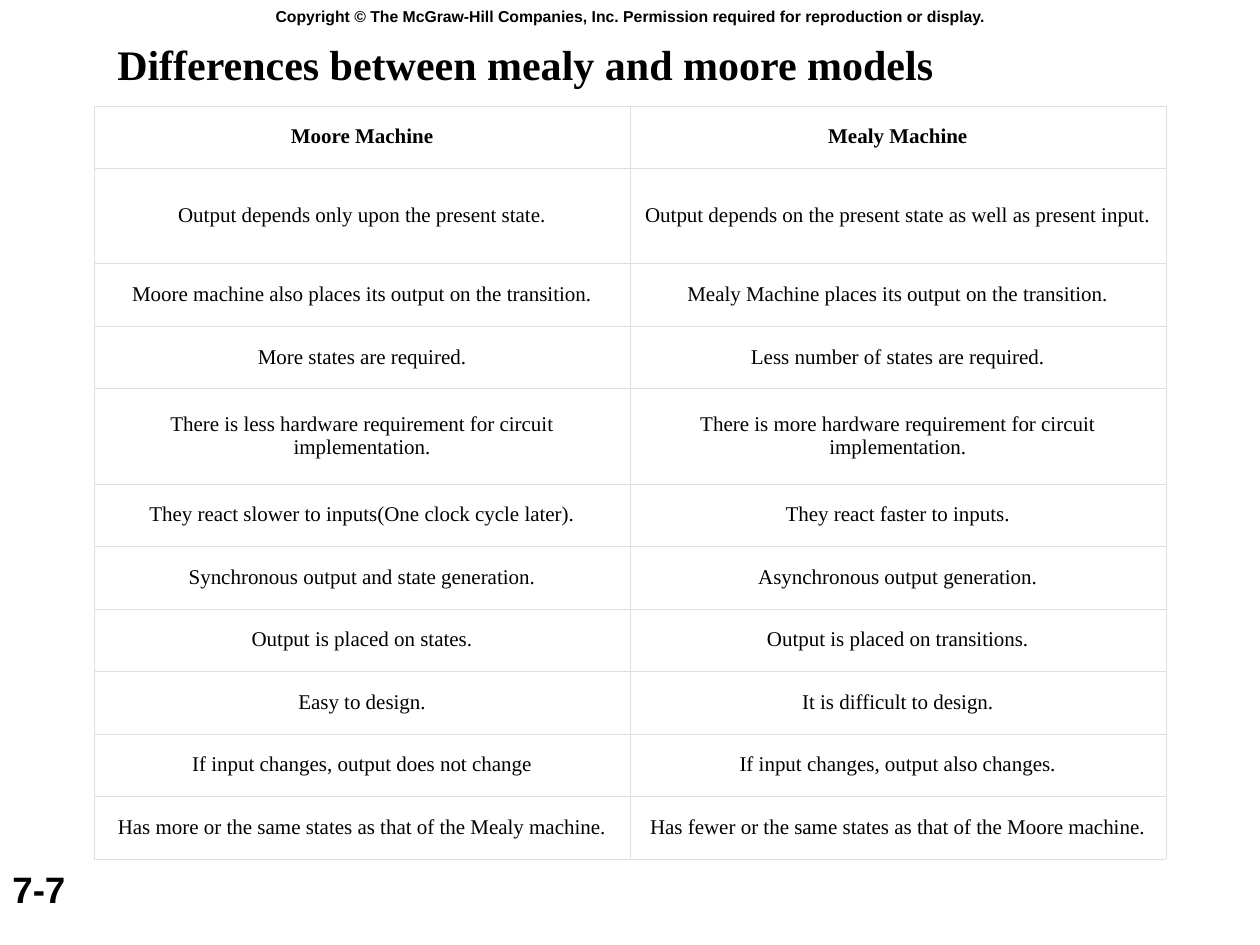
from lxml import etree
from pptx import Presentation
from pptx.dml.color import RGBColor
from pptx.enum.text import MSO_ANCHOR, PP_ALIGN
from pptx.oxml.ns import qn
from pptx.util import Cm, Pt

LEFT, CENTER = PP_ALIGN.LEFT, PP_ALIGN.CENTER
MIDDLE = MSO_ANCHOR.MIDDLE
TITLE_ONLY = 5
SERIF, SANS = "Times New Roman", "Arial"
BLACK, WHITE, GRID = "000000", "FFFFFF", "DFDFDF"
ROW_HEIGHT, TALL_HEIGHT = 1.26, 1.92
TALL_ROWS = (1, 4)

COMPARISON = [
    ("Moore Machine", "Mealy Machine"),
    ("Output depends only upon the present state.",
     "Output depends on the present state as well as present input."),
    ("Moore machine also places its output on the transition.",
     "Mealy Machine places its output on the transition."),
    ("More states are required.", "Less number of states are required."),
    ("There is less hardware requirement for circuit implementation.",
     "There is more hardware requirement for circuit implementation."),
    ("They react slower to inputs(One clock cycle later).",
     "They react faster to inputs."),
    ("Synchronous output and state generation.",
     "Asynchronous output generation."),
    ("Output is placed on states.", "Output is placed on transitions."),
    ("Easy to design.", "It is difficult to design."),
    ("If input changes, output does not change",
     "If input changes, output also changes."),
    ("Has more or the same states as that of the Mealy machine.",
     "Has fewer or the same states as that of the Moore machine."),
]


def rgb(value):
    """Return the colour for a hex string."""
    return RGBColor.from_string(value)


def write(tf, text, size=12, font=SERIF, color=BLACK, bold=False, align=LEFT,
          spacing=None):
    """Put one formatted paragraph into a text frame."""
    tf.word_wrap = True
    p = tf.paragraphs[0]
    p.alignment = align
    p.line_spacing = spacing
    r = p.add_run()
    r.text = text
    r.font.size, r.font.name, r.font.bold = Pt(size), font, bold
    r.font.color.rgb = rgb(color)


def add_title(s, text, left, top, width, height):
    """Fill and place the title placeholder."""
    sp = s.shapes.title
    sp.left, sp.top, sp.width, sp.height = map(Cm, (left, top, width, height))
    sp.text_frame.vertical_anchor = MIDDLE
    write(sp.text_frame, text, size=24, bold=True, spacing=0.9)


def add_label(s, text, left, top, width, height, **fmt):
    """Add a bold sans-serif text box."""
    sp = s.shapes.add_textbox(*map(Cm, (left, top, width, height)))
    sp.text_frame.vertical_anchor = MIDDLE
    write(sp.text_frame, text, font=SANS, bold=True, **fmt)


def set_borders(cell, color, width):
    """Draw a thin line on all four sides of a cell."""
    tcPr = cell._tc.get_or_add_tcPr()
    for i, side in enumerate(("a:lnL", "a:lnR", "a:lnT", "a:lnB")):
        ln = etree.Element(qn(side), w=str(Pt(width)))
        fill = etree.SubElement(ln, qn("a:solidFill"))
        etree.SubElement(fill, qn("a:srgbClr"), val=color)
        tcPr.insert(i, ln)


def add_comparison(s, rows, left, top, width):
    """Add the two-column comparison table."""
    heights = [TALL_HEIGHT if i in TALL_ROWS else ROW_HEIGHT
               for i in range(len(rows))]
    table = s.shapes.add_table(len(rows), len(rows[0]), Cm(left), Cm(top),
                               Cm(width), Cm(sum(heights))).table
    table.first_row = table.horz_banding = False
    for i, (texts, height) in enumerate(zip(rows, heights)):
        table.rows[i].height = Cm(height)
        for j, text in enumerate(texts):
            cell = table.cell(i, j)
            cell.fill.solid()
            cell.fill.fore_color.rgb = rgb(WHITE)
            cell.vertical_anchor = MIDDLE
            cell.margin_left = cell.margin_right = Cm(0.18)
            set_borders(cell, GRID, 0.06)
            write(cell.text_frame, text, bold=i == 0, align=CENTER)


def main():
    """Build the slide and save it."""
    prs = Presentation()
    prs.slide_width, prs.slide_height = Cm(25.4), Cm(19.05)
    s = prs.slides.add_slide(prs.slide_layouts[TITLE_ONLY])
    add_label(s, "Copyright © The McGraw-Hill Companies, Inc. "
              "Permission required for reproduction or display.",
              0, 0, 25.4, 0.64, size=9, align=CENTER)
    add_label(s, "7-7", 0, 17.35, 3.81, 1.14, size=21)
    add_comparison(s, COMPARISON, 1.9, 2.13, 21.6)
    add_title(s, "Differences between mealy and moore models",
              2.11, 0.76, 22, 1.17)
    prs.save("out.pptx")


if __name__ == "__main__":
    main()
